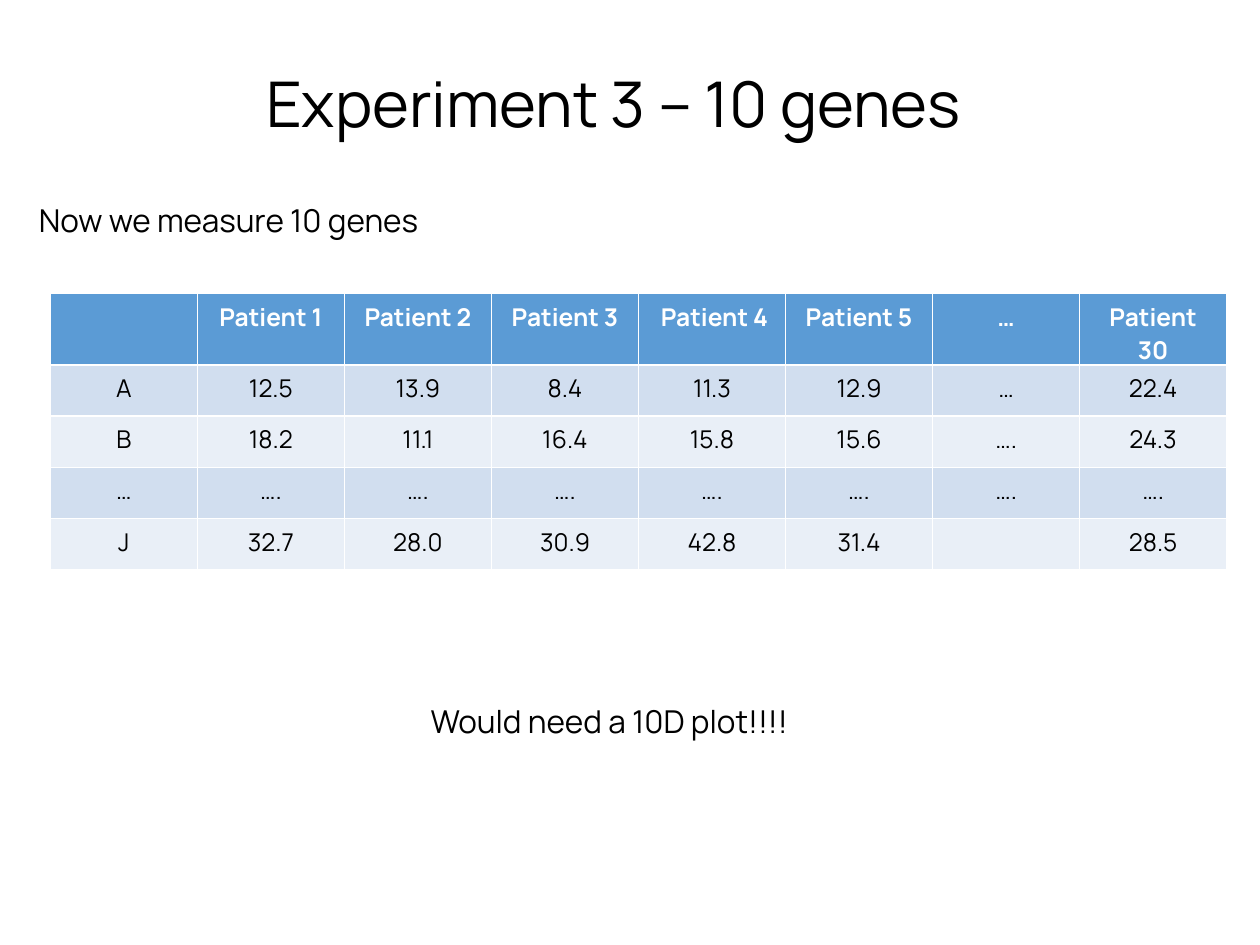
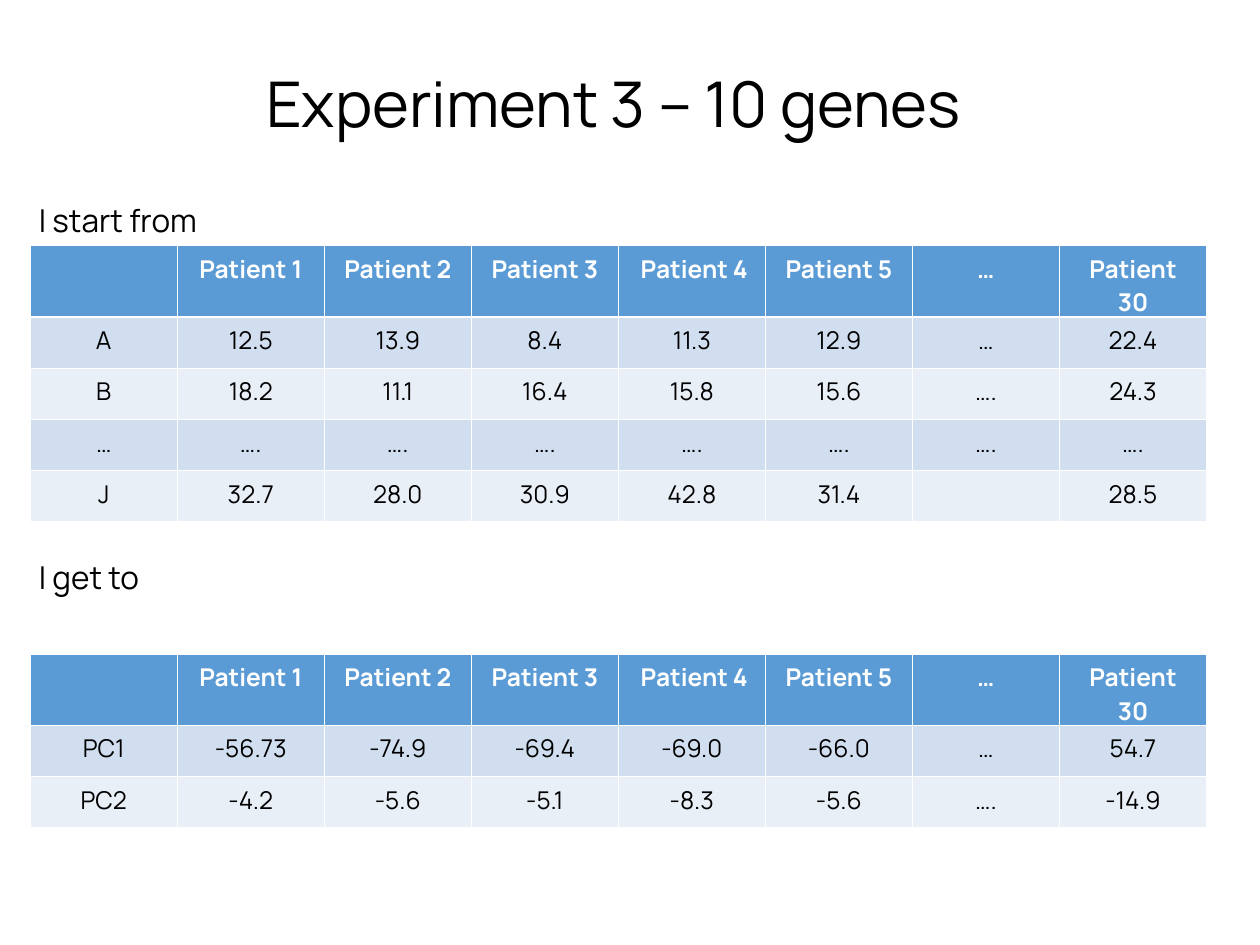
from pptx import Presentation, util as u
from pptx.dml import color
from pptx.enum import text

COLORS = {"ink": "000000", "white": "FFFFFF", "header": "5B9BD5",
          "odd_row": "D1DEEF", "even_row": "E9EFF7"}
FONT = "Manrope"
GRID_COLUMNS, GRID_ROWS = 100, 75
TITLE_LAYOUT = 5


class Deck:
    """Holds the style and the slide being built; lengths are grid units."""

    table_columns = 8
    column_width, row_height = 11.67, 4.06
    line_height = 4

    def __init__(self):
        self.presentation = Presentation()
        self.presentation.slide_width = u.Inches(10)
        self.presentation.slide_height = u.Inches(7.5)
        self.slide = None

    def x(self, columns):
        return round(self.presentation.slide_width * columns / GRID_COLUMNS)

    def y(self, rows):
        return round(self.presentation.slide_height * rows / GRID_ROWS)

    def box(self, left, top, width, height):
        return self.x(left), self.y(top), self.x(width), self.y(height)

    def add_words(self, frame, words, size, ink="ink", bold=False, align=None):
        paragraph = frame.paragraphs[0]
        paragraph.alignment = align
        run = paragraph.add_run()
        run.text = words
        values = {"name": FONT, "size": u.Pt(size), "bold": bold}
        for name, value in values.items():
            setattr(run.font, name, value)
        run.font.color.rgb = color.RGBColor.from_string(COLORS[ink])

    def format_frame(self, frame, wrap=True):
        values = {"word_wrap": wrap, "vertical_anchor": text.MSO_ANCHOR.TOP,
                  "auto_size": text.MSO_AUTO_SIZE.SHAPE_TO_FIT_TEXT}
        for name, value in values.items():
            setattr(frame, name, value)

    def add_slide(self, title):
        layout = self.presentation.slide_layouts[TITLE_LAYOUT]
        self.slide = self.presentation.slides.add_slide(layout)
        shape = self.slide.shapes.title
        places = zip(("left", "top", "width", "height"),
                     self.box(0, 4.6, 97.4, 7))
        for name, value in places:
            setattr(shape, name, value)
        self.format_frame(shape.text_frame)
        self.add_words(shape.text_frame, title, 36,
                       align=text.PP_ALIGN.CENTER)

    def add_line(self, words, top, left=2.1, width=93.1, wrap=True):
        shape = self.slide.shapes.add_textbox(
            *self.box(left, top, width, self.line_height))
        self.format_frame(shape.text_frame, wrap)
        self.add_words(shape.text_frame, words, 18)

    def add_table(self, rows, left, top):
        # The default table style supplies the white rules between cells
        table = self.slide.shapes.add_table(
            len(rows), self.table_columns,
            *self.box(left, top, self.table_columns * self.column_width,
                      len(rows) * self.row_height)).table
        for row_index, row in enumerate(rows):
            header = row_index == 0
            band = "header" if header else (
                "odd_row" if row_index % 2 else "even_row")
            for column_index, words in enumerate(row):
                cell = table.cell(row_index, column_index)
                cell.fill.solid()
                cell.fill.fore_color.rgb = color.RGBColor.from_string(
                    COLORS[band])
                if words:
                    self.add_words(cell.text_frame, words, 14,
                                   "white" if header else "ink", header,
                                   text.PP_ALIGN.CENTER)


# Shared content
TITLE = "Experiment 3 – 10 genes"
PATIENTS = ["", "Patient 1", "Patient 2", "Patient 3", " Patient 4",
            "Patient 5", "…", "Patient 30"]
GENES = [
    PATIENTS,
    ["A", "12.5", "13.9", "8.4", "11.3", "12.9", "…", "22.4"],
    ["B", "18.2", "11.1", "16.4", "15.8", "15.6", "….", "24.3"],
    ["…"] + ["…."] * 7,
    ["J", "32.7", "28.0", "30.9", "42.8", "31.4", "", "28.5"],
]
COMPONENTS = [
    PATIENTS,
    ["PC1", "-56.73", "-74.9", "-69.4", "-69.0", "-66.0", "…", "54.7"],
    ["PC2", "-4.2", "-5.6", "-5.1", "-8.3", "-5.6", "….", "-14.9"],
]

deck = Deck()

# Slide 1: ten measured genes
deck.add_slide(TITLE)
deck.add_line("Now we measure 10 genes", 15.5)
deck.add_table(GENES, 4, 23.3)
deck.add_line("Would need a 10D plot!!!!", 55.2, left=33.2, width=30.9,
              wrap=False)

# Slide 2: from genes to principal components
deck.add_slide(TITLE)
deck.add_line("I start from", 15.5)
deck.add_table(GENES, 2.4, 19.5)
deck.add_table(COMPONENTS, 2.4, 51.9)
deck.add_line("I get to", 43.8)

deck.presentation.save("out.pptx")
